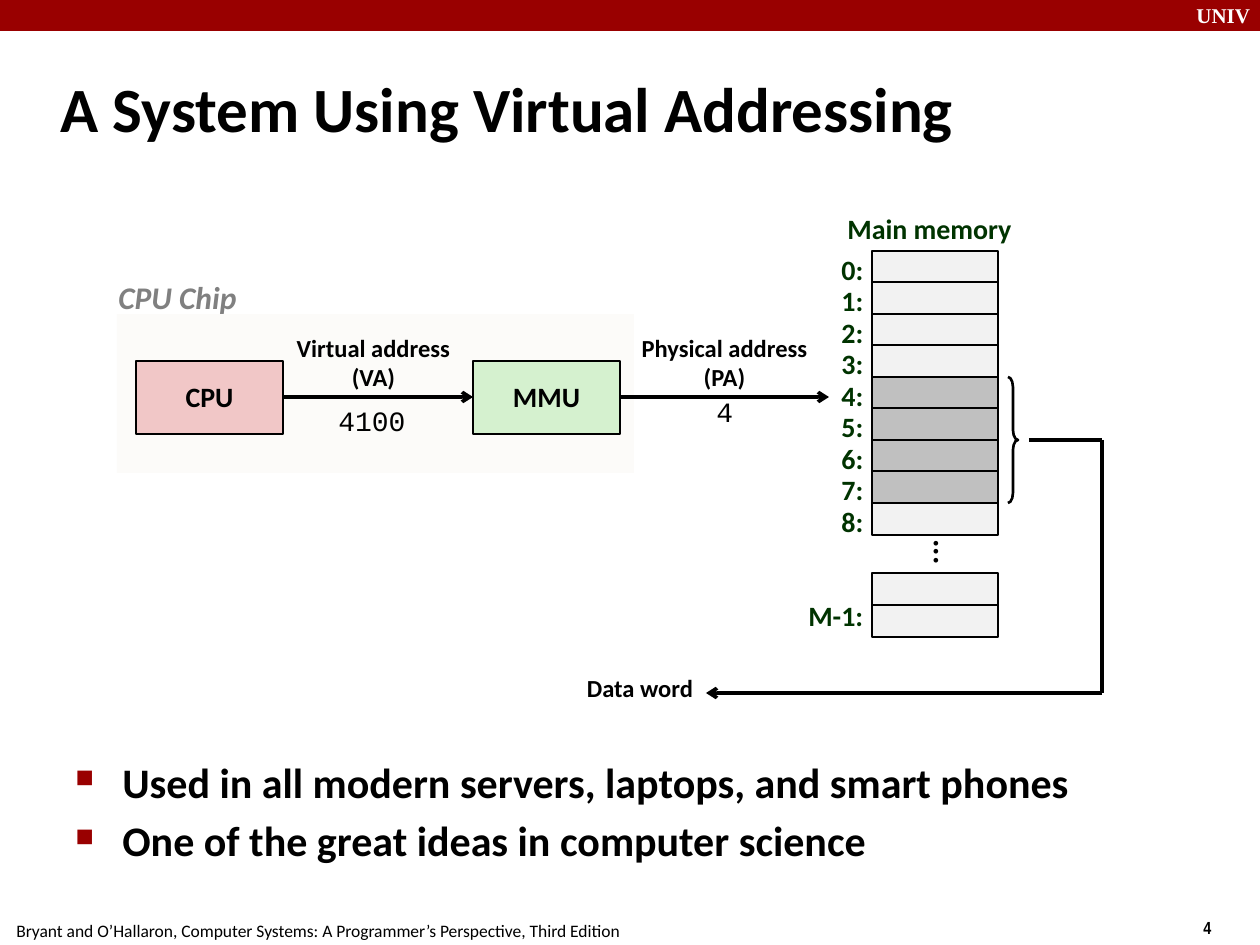
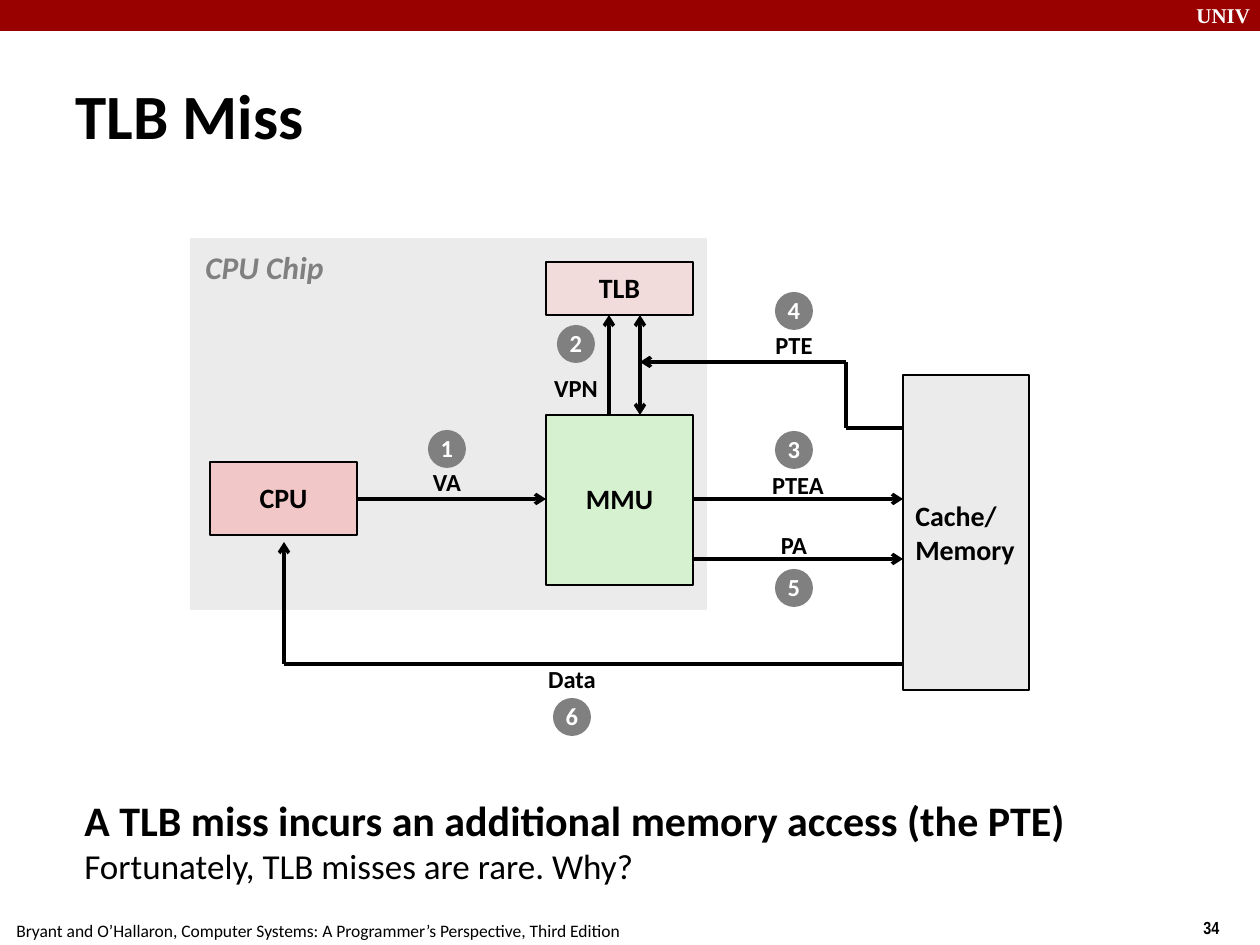
"""Build two slides on virtual addressing and TLB misses."""
from lxml import etree
from pptx import Presentation
from pptx.dml.color import RGBColor
from pptx.enum.shapes import MSO_CONNECTOR, MSO_SHAPE
from pptx.enum.text import MSO_ANCHOR, PP_ALIGN
from pptx.oxml.ns import qn
from pptx.util import Pt

RECT, OVAL, BRACE = MSO_SHAPE.RECTANGLE, MSO_SHAPE.OVAL, MSO_SHAPE.RIGHT_BRACE
STRAIGHT = MSO_CONNECTOR.STRAIGHT
LEFT, CENTER = PP_ALIGN.LEFT, PP_ALIGN.CENTER
TOP, MIDDLE = MSO_ANCHOR.TOP, MSO_ANCHOR.MIDDLE
PX = 914400 / 126
HUES = {
    "band": "990000", "ink": "000000", "white": "FFFFFF", "gray": "808080",
    "green": "003300", "mint": "D5F1CF", "rose": "F1C7C7", "blush": "F2DCDB",
    "cream": "FCFBF9", "chip": "EBEBEB", "cell": "F2F2F2", "word": "C0C0C0",
}
HUES = {name: RGBColor.from_string(code) for name, code in HUES.items()}


def box(slide, place, text="", size=14, bold=True, hue="ink", fill=None, edge=0,
        kind=RECT, align=CENTER, anchor=MIDDLE, face="Calibri", lead=0.98,
        before=0, wrap=False, italic=False):
    spot = [round(n * PX) for n in place]
    if fill or edge:
        shape = slide.shapes.add_shape(kind, *spot)
        shape.shadow.inherit = False
        if fill:
            shape.fill.solid()
            shape.fill.fore_color.rgb = HUES[fill]
        else:
            shape.fill.background()
        if edge:
            shape.line.color.rgb = HUES["ink"]
            shape.line.width = Pt(edge)
        else:
            shape.line.fill.background()
    else:
        shape = slide.shapes.add_textbox(*spot)
    frame = shape.text_frame
    frame.word_wrap = wrap
    frame.vertical_anchor = anchor
    if text:
        frame.text = text
    for para in frame.paragraphs:
        para.alignment = align
        para.line_spacing = lead
        para.space_before = Pt(before)
        font = para.font
        font.name, font.size, font.bold, font.italic = face, Pt(size), bold, italic
        font.color.rgb = HUES[hue]
    return shape


def wire(slide, points, both=False):
    for start, end in zip(points, points[1:]):
        line = slide.shapes.add_connector(
            STRAIGHT, *[round(n * PX) for n in (*start, *end)])
        line.line.color.rgb = HUES["ink"]
        line.line.width = Pt(2)
        props = line._element.spPr
        etree.SubElement(props, qn("a:effectLst"))
        if both:
            etree.SubElement(props.find(qn("a:ln")), qn("a:headEnd"), type="arrow")
        if end == points[-1]:
            etree.SubElement(props.find(qn("a:ln")), qn("a:tailEnd"), type="arrow")


deck = Presentation()
deck.slide_width, deck.slide_height = round(1260 * PX), round(945 * PX)
plain = {"align": LEFT, "anchor": TOP, "lead": 1}
tag = {"size": 16, "hue": "green", "anchor": TOP, "lead": 0.88, "before": 6}
chip = {"text": "CPU Chip", "size": 18, "hue": "gray", "italic": True, **plain}
unit = {"size": 16, "edge": 1}

pages = []
for title, left, top, page in [
    ("A System Using Virtual Addressing", 48, 53, "4"),
    ("TLB Miss", 63, 60, "34"),
]:
    slide = deck.slides.add_slide(deck.slide_layouts[6])
    box(slide, (0, 0, 1260, 31), fill="band")
    box(slide, (1184, -4, 84, 38), "UNIV", 12, hue="white",
        face="Times New Roman", **plain)
    box(slide, (1191, 911, 94, 36), page, 10, face="Arial Narrow", wrap=True, **plain)
    box(slide, (4, 914, 640, 33),
        "Bryant and O’Hallaron, Computer Systems: A Programmer’s Perspective, Third Edition",
        10, bold=False, wrap=True, **plain)
    box(slide, (left, top, 1201, 108), title, 36, align=LEFT, lead=1, wrap=True)
    pages.append(slide)
system, miss = pages

box(system, (117, 314, 517, 159), fill="cream")
box(system, (106, 272, 160, 50), wrap=True, **chip)
box(system, (136, 361, 147, 73), "CPU", fill="rose", **unit)
box(system, (473, 361, 147, 73), "MMU", fill="mint", **unit)
box(system, (274, 328, 199, 71), "Virtual address\n(VA)")
box(system, (619, 328, 211, 71), "Physical address\n(PA)")
box(system, (560, 668, 160, 42), "Data word")
code = {"size": 16, "bold": False, "face": "Courier New", "wrap": True, **plain}
box(system, (326, 397, 110, 45), "4100", **code)
box(system, (704, 388, 60, 45), "4", **code)

box(system, (825, 210, 209, 45), "Main memory", **tag)
for row in range(9):
    top = 251 + row * 63 // 2
    shade = "word" if 4 <= row <= 7 else "cell"
    box(system, (872, top, 126, 32), fill=shade, edge=1.5)
    box(system, (829, top, 60, 45), f"{row}:", align=LEFT, wrap=True, **tag)
for top in (573, 605):
    box(system, (872, top, 126, 32), fill="cell", edge=1.5)
box(system, (796, 597, 100, 45), "M-1:", align=LEFT, wrap=True, **tag)
dots = box(system, (882, 536, 126, 32), "...", 18)
dots.text_frame._txBody.bodyPr.set("vert", "vert")
brace = box(system, (1008, 377, 10, 126), edge=1.5, kind=BRACE)
brace.adjustments[0] = 1

wire(system, [(283, 397), (473, 397)])
wire(system, [(620, 397), (829, 397)])
wire(system, [(1029, 440), (1102, 440), (1102, 693), (706, 693)])

notes = box(system, (63, 750, 1144, 174),
            "Used in all modern servers, laptops, and smart phones\n"
            "One of the great ideas in computer science",
            24, before=4.8, wrap=True, **plain)
for para in notes.text_frame.paragraphs:
    props = para._p.get_or_add_pPr()
    props.set("marL", str(round(47 * PX)))
    props.set("indent", str(round(-47 * PX)))
    marks = [etree.Element(qn("a:buClr")),
             etree.Element(qn("a:buSzPct"), val="60000"),
             etree.Element(qn("a:buChar"), char="■")]
    etree.SubElement(marks[0], qn("a:srgbClr"), val=str(HUES["band"]))
    for mark in marks:
        props.find(qn("a:defRPr")).addprevious(mark)

box(miss, (190, 238, 517, 372), fill="chip")
box(miss, (193, 242, 160, 50), wrap=True, **chip)
box(miss, (210, 462, 147, 73), "CPU", fill="rose", **unit)
box(miss, (546, 415, 147, 170), "MMU", fill="mint", **unit)
box(miss, (546, 262, 147, 53), "TLB", fill="blush", **unit)
box(miss, (903, 375, 126, 315), "Cache/\nMemory", 16, fill="chip", edge=1.5,
    align=LEFT, lead=1)

wire(miss, [(357, 499), (546, 499)])
wire(miss, [(609, 415), (609, 315)])
wire(miss, [(640, 315), (640, 415)], both=True)
wire(miss, [(693, 499), (903, 499)])
wire(miss, [(693, 559), (903, 559)])
wire(miss, [(903, 428), (846, 428), (846, 362), (640, 362)])
wire(miss, [(903, 664), (284, 664), (284, 542)])

steps = [
    ("VA", 447, 462, 430),
    ("VPN", 576, 368, 325),
    ("PTEA", 798, 465, 431),
    ("PTE", 794, 325, 292),
    ("PA", 794, 525, 569),
    ("Data", 572, 659, 698),
]
for step, (name, mid, top, y) in enumerate(steps, 1):
    box(miss, (mid - 50, top, 100, 42), name)
    x = 775 if step in (3, 4, 5) else mid - 19
    box(miss, (x, y, 38, 38), str(step), hue="white", fill="gray", kind=OVAL)

claim = box(miss, (72, 788, 1062, 126), before=4.8, bold=None, wrap=True, **plain)
para = claim.text_frame.paragraphs[0]
for text, size, bold in [
    ("A TLB miss incurs an additional memory access (the PTE)", 24, True),
    ("Fortunately, TLB misses are rare. Why?", 20, False),
]:
    if para.runs:
        para.add_line_break()
    run = para.add_run()
    run.text = text
    run.font.size, run.font.bold = Pt(size), bold

deck.save("out.pptx")
